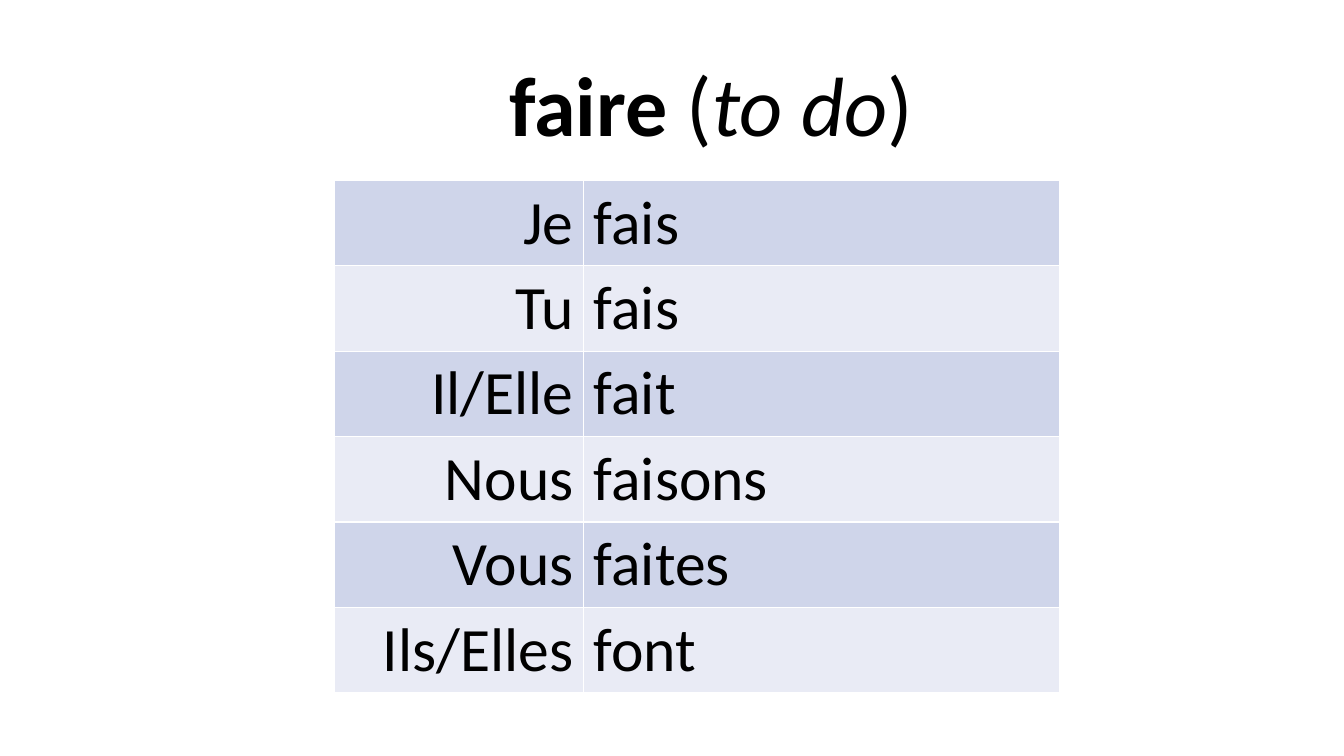
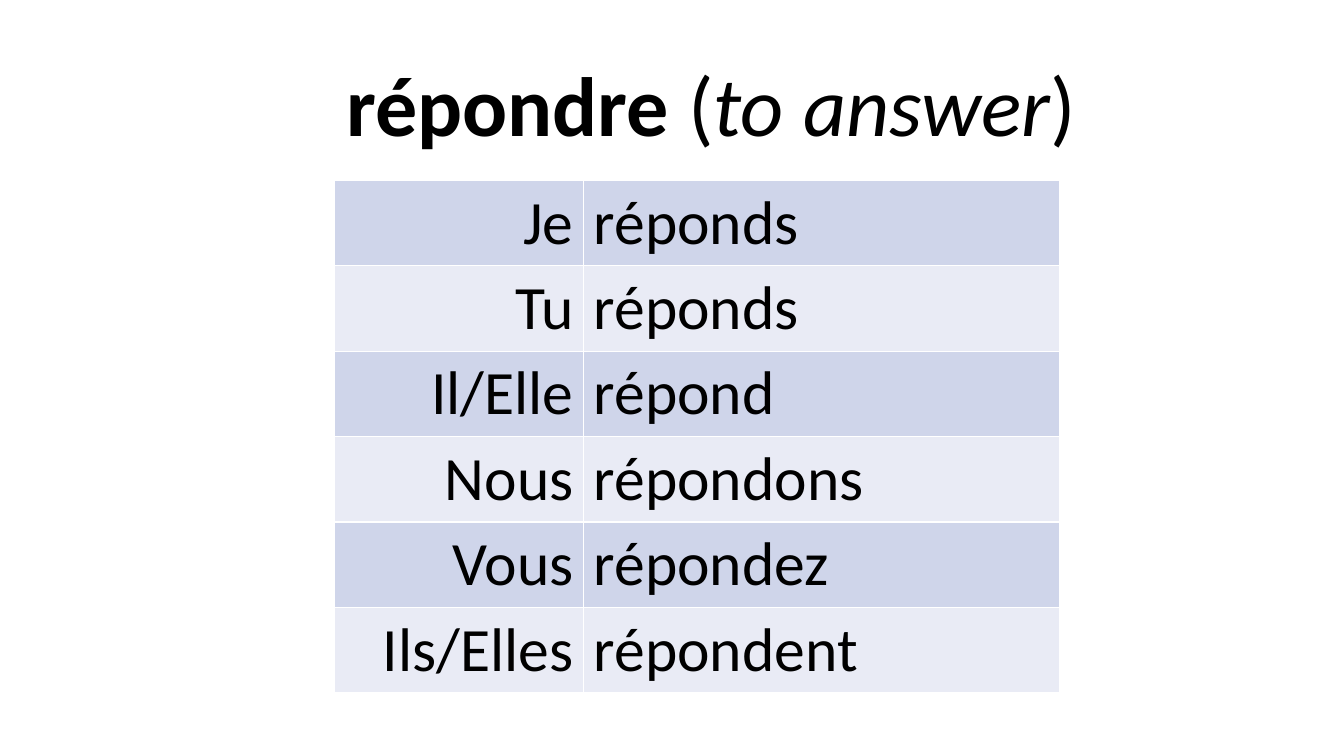
"""Build French verb conjugation slides, one table per verb."""
from dataclasses import dataclass

from lxml.etree import SubElement
from pptx import Presentation
from pptx.dml.color import RGBColor
from pptx.enum.text import MSO_ANCHOR, MSO_AUTO_SIZE, PP_ALIGN
from pptx.oxml.ns import qn
from pptx.presentation import Presentation as Deck
from pptx.slide import Slide
from pptx.table import _Cell as Cell
from pptx.text.text import Font
from pptx.util import Inches, Pt

COLOURS = {"text": "000000", "border": "FFFFFF", "odd": "CFD5EA", "even": "E9EBF5"}
FONT_NAME = "Calibri"
TITLE_SIZE = 60
CELL_SIZE = 44
TITLE_ONLY_LAYOUT = 5
PRONOUNS = ("Je", "Tu", "Il/Elle", "Nous", "Vous", "Ils/Elles")
COLUMN_WIDTHS = (2.47, 4.72)
TABLE_HEIGHT = 5


@dataclass(frozen=True)
class Verb:
    infinitive: str
    meaning: str
    forms: tuple[str, ...]


VERBS = (
    Verb("faire", "to do", ("fais", "fais", "fait", "faisons", "faites", "font")),
    Verb(
        "répondre",
        "to answer",
        ("réponds", "réponds", "répond", "répondons", "répondez", "répondent"),
    ),
)


def style_font(font: Font, size: int) -> None:
    font.name = FONT_NAME
    font.size = Pt(size)
    font.color.rgb = RGBColor.from_string(COLOURS["text"])


def add_title(slide: Slide, verb: Verb) -> None:
    title = slide.shapes.title
    title.left, title.top = Inches(1.67), Inches(0.44)
    title.width, title.height = Inches(10.77), Inches(1.14)
    text_frame = title.text_frame
    text_frame.word_wrap = True
    text_frame.auto_size = MSO_AUTO_SIZE.NONE
    text_frame.vertical_anchor = MSO_ANCHOR.BOTTOM
    paragraph = text_frame.paragraphs[0]
    paragraph.alignment = PP_ALIGN.CENTER
    paragraph.line_spacing = 0.9
    for text, bold, italic in (
        (verb.infinitive, True, False),
        (" (", False, False),
        (verb.meaning, False, True),
        (")", False, False),
    ):
        run = paragraph.add_run()
        run.text = text
        style_font(run.font, TITLE_SIZE)
        run.font.bold = bold
        run.font.italic = italic


def add_borders(cell: Cell) -> None:
    properties = cell._tc.get_or_add_tcPr()
    for side in ("lnL", "lnR", "lnT", "lnB"):
        line = SubElement(properties, qn(f"a:{side}"), w=str(Pt(1)))
        fill = SubElement(line, qn("a:solidFill"))
        SubElement(fill, qn("a:srgbClr"), val=COLOURS["border"])


def fill_cell(cell: Cell, text: str, alignment: PP_ALIGN, colour: str) -> None:
    add_borders(cell)
    cell.fill.solid()
    cell.fill.fore_color.rgb = RGBColor.from_string(colour)
    cell.text_frame.text = text
    paragraph = cell.text_frame.paragraphs[0]
    paragraph.alignment = alignment
    style_font(paragraph.runs[0].font, CELL_SIZE)


def add_conjugation(slide: Slide, verb: Verb) -> None:
    table = slide.shapes.add_table(
        len(PRONOUNS),
        len(COLUMN_WIDTHS),
        Inches(3.32),
        Inches(1.79),
        Inches(sum(COLUMN_WIDTHS)),
        Inches(TABLE_HEIGHT),
    ).table
    table.first_row = False
    for column, width in zip(table.columns, COLUMN_WIDTHS):
        column.width = Inches(width)
    for row, (pronoun, form) in enumerate(zip(PRONOUNS, verb.forms)):
        colour = COLOURS["even" if row % 2 else "odd"]
        fill_cell(table.cell(row, 0), pronoun, PP_ALIGN.RIGHT, colour)
        fill_cell(table.cell(row, 1), form, PP_ALIGN.LEFT, colour)


def add_verb_slide(presentation: Deck, verb: Verb) -> None:
    slide = presentation.slides.add_slide(presentation.slide_layouts[TITLE_ONLY_LAYOUT])
    add_title(slide, verb)
    add_conjugation(slide, verb)


def main() -> None:
    presentation = Presentation()
    presentation.slide_width = Inches(13.33)
    presentation.slide_height = Inches(7.5)
    for verb in VERBS:
        add_verb_slide(presentation, verb)
    presentation.save("out.pptx")


if __name__ == "__main__":
    main()
